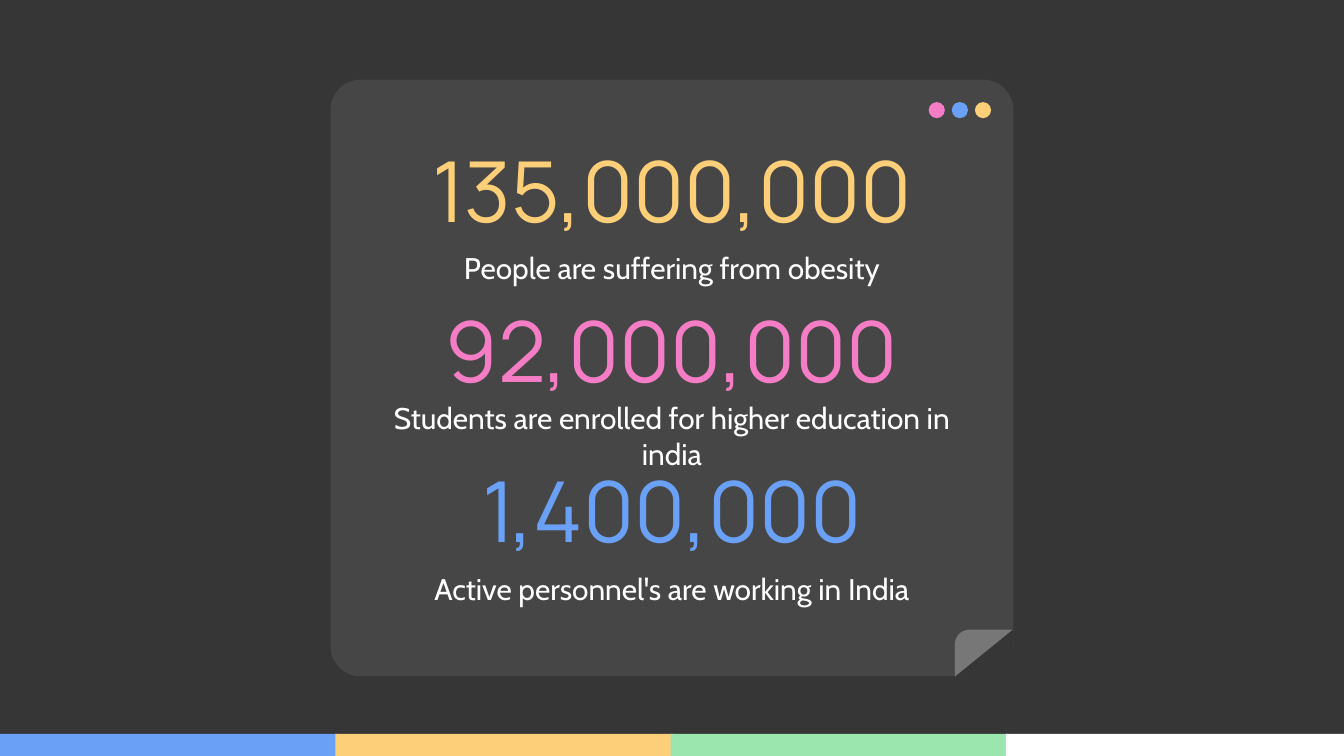
import math

import pptx
import pptx.dml.color
import pptx.enum.shapes
import pptx.enum.text
import pptx.oxml
import pptx.oxml.ns
import pptx.util

RGBColor = pptx.dml.color.RGBColor
BACKGROUND = RGBColor(0x36, 0x36, 0x36)
PANEL = RGBColor(0x46, 0x46, 0x46)
FOLD = RGBColor(0x77, 0x77, 0x77)
BLUE = RGBColor(0x6A, 0xA1, 0xF7)
YELLOW = RGBColor(0xFC, 0xCF, 0x78)
GREEN = RGBColor(0x9A, 0xE6, 0xAE)
PINK = RGBColor(0xF5, 0x7D, 0xC6)
WHITE = RGBColor(0xFF, 0xFF, 0xFF)
KIND = pptx.enum.shapes.MSO_SHAPE

presentation = pptx.Presentation()
presentation.slide_width = pptx.util.Inches(10)
presentation.slide_height = presentation.slide_width * 9 // 16
column = presentation.slide_width / 100
row = presentation.slide_height / 100
slide = presentation.slides.add_slide(presentation.slide_layouts.get_by_name("Comparison"))
slide.background.fill.solid()
slide.background.fill.fore_color.rgb = BACKGROUND


def paint(shape, color):
    shape.shadow.inherit = False
    shape.fill.solid()
    shape.fill.fore_color.rgb = color
    shape.line.fill.background()


def write(shape, text, top, height, formats):
    frame = shape.text_frame
    frame.text = text
    paragraph = frame.paragraphs[0]
    properties = paragraph._p.get_or_add_pPr()
    properties.set("marL", "0")
    properties.set("indent", "0")
    properties.append(pptx.oxml.parse_xml(f"<a:buNone {pptx.oxml.ns.nsdecls('a')}/>"))
    settings = [
        (shape, {"left": int(27 * column), "top": int(top * row),
                 "width": int(46 * column), "height": int(height * row)}),
        (frame, {"word_wrap": True, "auto_size": pptx.enum.text.MSO_AUTO_SIZE.NONE,
                 "vertical_anchor": pptx.enum.text.MSO_ANCHOR.MIDDLE,
                 **{f"margin_{side}": pptx.util.Inches(0.1)
                    for side in ("left", "top", "right", "bottom")}}),
        (paragraph, {"alignment": pptx.enum.text.PP_ALIGN.CENTER,
                     "space_before": pptx.util.Pt(0), "line_spacing": 1.0}),
        (paragraph.runs[0].font, {"name": formats["name"], "bold": False,
                                  "size": pptx.util.Pt(formats["size"])}),
        (paragraph.runs[0].font.color, {"rgb": formats["color"]}),
    ]
    for target, values in settings:
        for attribute, value in values.items():
            setattr(target, attribute, value)
    slide.shapes.element.append(shape.element)


for index, color in enumerate((BLUE, YELLOW, GREEN, WHITE)):
    bar = slide.shapes.add_shape(
        KIND.RECTANGLE, int(24.95 * index * column), int(97.1 * row), int(25.15 * column), int(2.9 * row))
    paint(bar, color)

panel = slide.shapes.add_shape(
    KIND.ROUNDED_RECTANGLE, int(24.6 * column), int(10.55 * row), int(50.8 * column), int(78.9 * row))
panel.adjustments[0] = 0.05
paint(panel, PANEL)

for index, color in enumerate((PINK, BLUE, YELLOW)):
    dot = slide.shapes.add_shape(
        KIND.OVAL, int((69.1 + 1.72 * index) * column), int(13.5 * row), int(1.2 * column), int(1.2 * column))
    paint(dot, color)

fold_left, fold_top = 71.05 * column, 83.3 * row
fold_width, fold_height = 4.3 * column, 6.2 * row
corner = slide.shapes.add_shape(
    KIND.RIGHT_TRIANGLE, int(fold_left), int(fold_top), int(fold_width), int(fold_height))
corner.element.spPr.xfrm.set("flipH", "1")
paint(corner, BACKGROUND)
corner.line.color.rgb = BACKGROUND
corner.line.width = pptx.util.Pt(0.75)

radius = 1.1 * column
curve = []
for degrees in range(0, 91, 10):
    angle = math.radians(degrees)
    curve.append((fold_left + radius * (1 - math.sin(angle)),
                  fold_top + radius * (1 - math.cos(angle))))
builder = slide.shapes.build_freeform(*curve[0])
builder.add_line_segments(
    curve[1:] + [(fold_left, fold_top + fold_height), (fold_left + fold_width, fold_top)])
paint(builder.convert_to_shape(), FOLD)

holders = {holder.placeholder_format.idx: holder for holder in slide.placeholders}
holders[4].element.getparent().remove(holders[4].element)
number_boxes = [holders[0]] + [slide.shapes.add_textbox(0, 0, 0, 0) for _ in range(2)]
caption_boxes = [holders[index] for index in (1, 2, 3)]
statistics = [
    ("135,000,000", YELLOW, "People are suffering from obesity", 7.1),
    ("92,000,000", PINK, "Students are enrolled for higher education in india", 9.1),
    ("1,400,000", BLUE, "Active personnel's are working in India", 7.1),
]
for index, (number, color, caption, caption_height) in enumerate(statistics):
    offset = 21.22 * index
    write(number_boxes[index], number, 18.7 + offset, 12.5,
          {"name": "Manrope", "size": 45, "color": color})
    write(caption_boxes[index], caption, 31.87 + offset, caption_height,
          {"name": "Cabin", "size": 16, "color": WHITE})

presentation.save("out.pptx")
